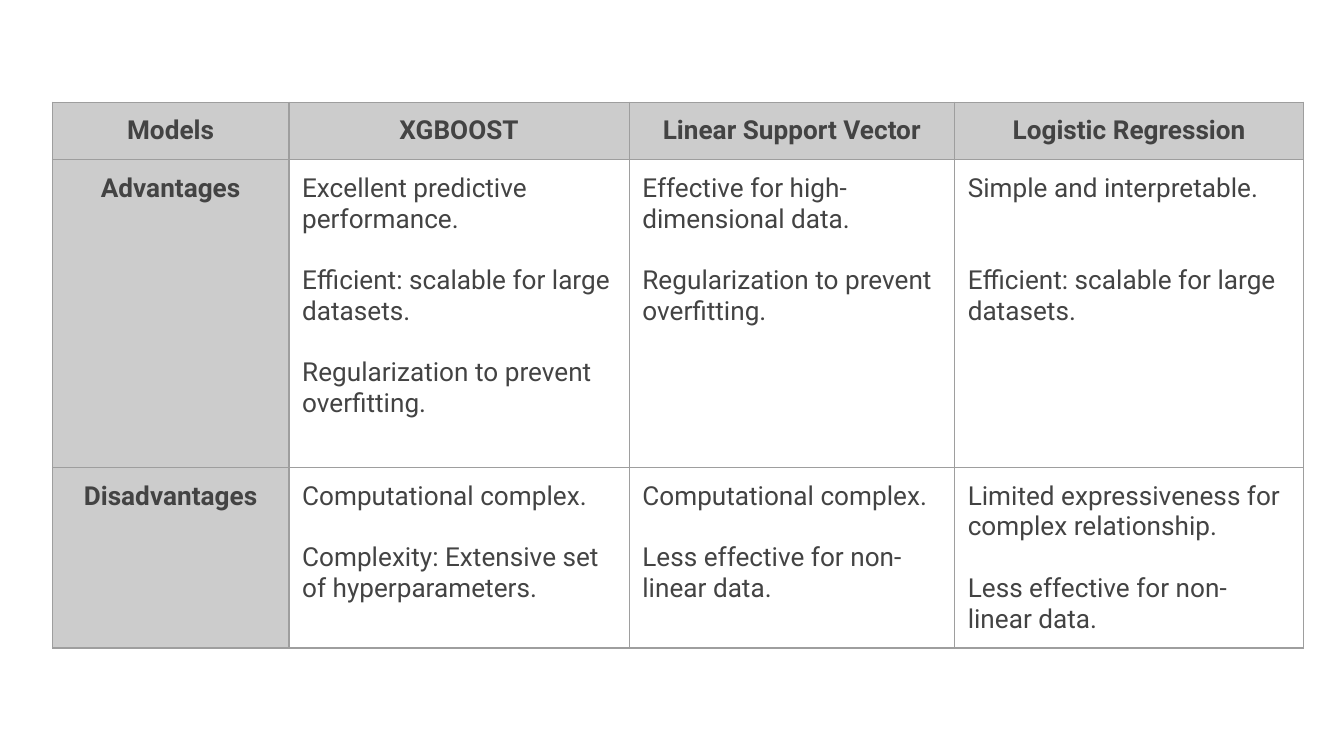
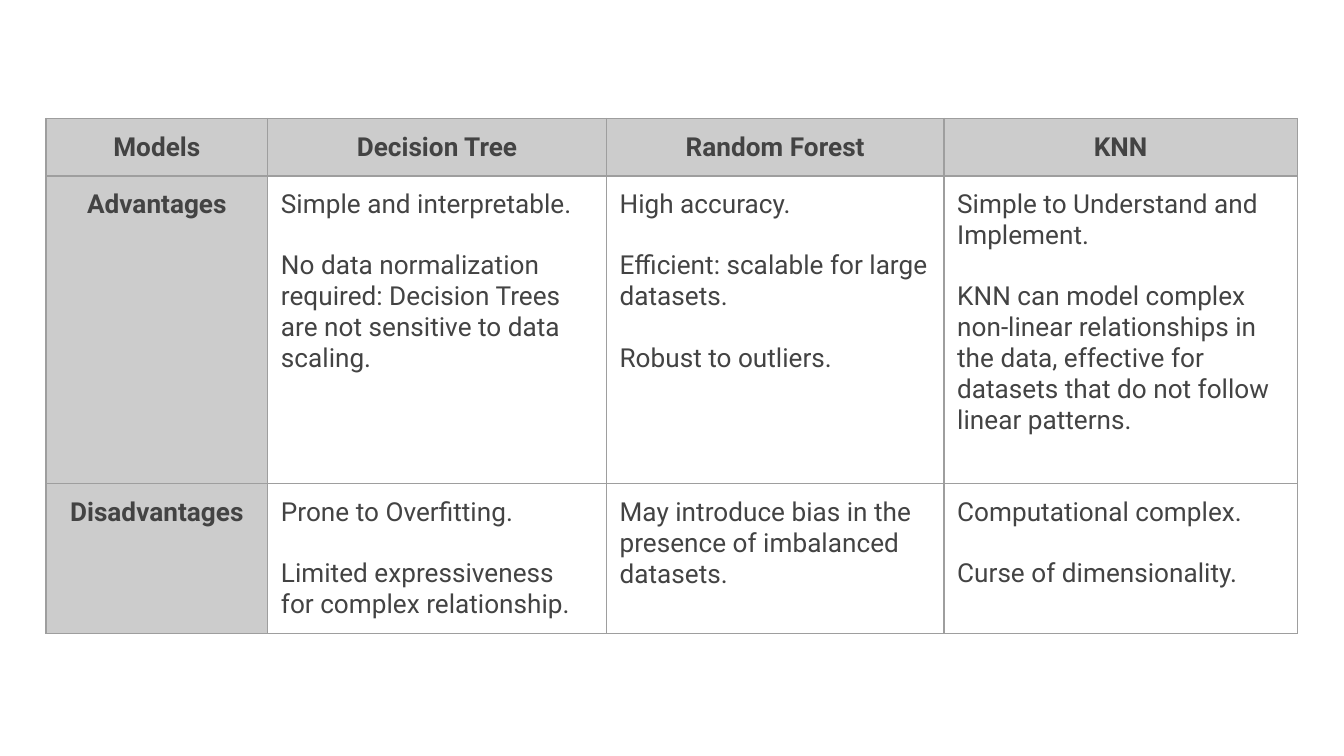
from dataclasses import dataclass

from lxml import etree
from pptx import Presentation
from pptx.dml.color import RGBColor
from pptx.enum import text
from pptx.oxml import ns
from pptx.util import Cm, Pt


@dataclass(frozen=True)
class Theme:
    font: str = "Roboto"
    text_size: float = 14
    line_height: float = 16.4
    text_color: str = "434343"
    label_fill: str = "CCCCCC"
    border_color: str = "9E9E9E"
    border_width: float = 0.75
    cell_margin: float = 0.25


@dataclass(frozen=True)
class Point:
    text: str
    lines_before: int = 1


THEME = Theme()
ROW_HEIGHTS = (0.74, 5.82, 2.31)
ROW_LABELS = ("Models", "Advantages", "Disadvantages")
LARGE_DATASETS = "Efficient: scalable for large datasets."
REGULARIZATION = "Regularization to prevent overfitting."
COMPUTATION = "Computational complex."
NON_LINEAR = "Less effective for non-linear data."
EXPRESSIVENESS = "Limited expressiveness for complex relationship."
INTERPRETABLE = "Simple and interpretable."

BOOSTING_AND_LINEAR_MODELS = [
    (
        "XGBOOST",
        ["Excellent predictive performance.", LARGE_DATASETS, REGULARIZATION],
        [COMPUTATION, "Complexity: Extensive set of hyperparameters."],
    ),
    (
        "Linear Support Vector",
        ["Effective for high-dimensional data.", REGULARIZATION],
        [COMPUTATION, NON_LINEAR],
    ),
    (
        "Logistic Regression",
        [INTERPRETABLE, Point(LARGE_DATASETS, lines_before=2)],
        [EXPRESSIVENESS, NON_LINEAR],
    ),
]

TREE_AND_NEIGHBOR_MODELS = [
    (
        "Decision Tree",
        [
            INTERPRETABLE,
            "No data normalization required: Decision Trees are not sensitive "
            "to data scaling.",
        ],
        ["Prone to Overfitting.", EXPRESSIVENESS],
    ),
    (
        "Random Forest",
        ["High accuracy.", LARGE_DATASETS, "Robust to outliers."],
        ["May introduce bias in the presence of imbalanced datasets."],
    ),
    (
        "KNN",
        [
            "Simple to Understand and Implement.",
            "KNN can model complex non-linear relationships in the data, "
            "effective for datasets that do not follow linear patterns.",
        ],
        [COMPUTATION, "Curse of dimensionality."],
    ),
]


def set_borders(cell):
    properties = cell._tc.get_or_add_tcPr()
    for index, side in enumerate(("lnL", "lnR", "lnT", "lnB")):
        line = etree.Element(ns.qn(f"a:{side}"), w=str(Pt(THEME.border_width)))
        fill = etree.SubElement(line, ns.qn("a:solidFill"))
        etree.SubElement(fill, ns.qn("a:srgbClr"), val=THEME.border_color)
        properties.insert(index, line)


def format_cell(cell, is_label):
    cell.margin_left = cell.margin_right = Cm(THEME.cell_margin)
    cell.margin_top = cell.margin_bottom = Cm(THEME.cell_margin)
    if is_label:
        cell.fill.solid()
        cell.fill.fore_color.rgb = RGBColor.from_string(THEME.label_fill)
    else:
        cell.fill.background()
    set_borders(cell)
    for paragraph in cell.text_frame.paragraphs:
        paragraph.alignment = (
            text.PP_ALIGN.CENTER if is_label else text.PP_ALIGN.LEFT
        )
        for run in paragraph.runs:
            run.font.name = THEME.font
            run.font.size = Pt(THEME.text_size)
            run.font.bold = is_label
            run.font.color.rgb = RGBColor.from_string(THEME.text_color)


def fill_label(cell, label):
    cell.text_frame.text = label
    format_cell(cell, is_label=True)


def fill_points(cell, entries):
    points = [
        entry if isinstance(entry, Point) else Point(entry) for entry in entries
    ]
    cell.text_frame.text = "\n".join(point.text for point in points)
    for paragraph, point in list(zip(cell.text_frame.paragraphs, points))[1:]:
        paragraph.space_before = Pt(THEME.line_height * point.lines_before)
    format_cell(cell, is_label=False)


def add_model_table(slide, left, top, column_widths, models):
    table = slide.shapes.add_table(
        len(ROW_HEIGHTS), len(column_widths), Cm(left), Cm(top),
        Cm(sum(column_widths)), Cm(sum(ROW_HEIGHTS)),
    ).table
    table.first_row = table.horz_banding = False
    for column, width in zip(table.columns, column_widths):
        column.width = Cm(width)
    for row, height in zip(table.rows, ROW_HEIGHTS):
        row.height = Cm(height)
    for row_index, label in enumerate(ROW_LABELS):
        fill_label(table.cell(row_index, 0), label)
    for column_index, (name, *point_lists) in enumerate(models, start=1):
        fill_label(table.cell(0, column_index), name)
        for row_index, points in enumerate(point_lists, start=1):
            fill_points(table.cell(row_index, column_index), points)


def add_blank_slide(presentation):
    return presentation.slides.add_slide(presentation.slide_layouts[6])


def main():
    presentation = Presentation()
    presentation.slide_width = Cm(25.4)
    presentation.slide_height = Cm(14.29)
    add_model_table(
        add_blank_slide(presentation), 0.99, 1.93,
        (4.47, 6.43, 6.15, 6.6), BOOSTING_AND_LINEAR_MODELS,
    )
    add_model_table(
        add_blank_slide(presentation), 0.87, 2.24,
        (4.19, 6.4, 6.38, 6.68), TREE_AND_NEIGHBOR_MODELS,
    )
    presentation.save("out.pptx")


if __name__ == "__main__":
    main()
